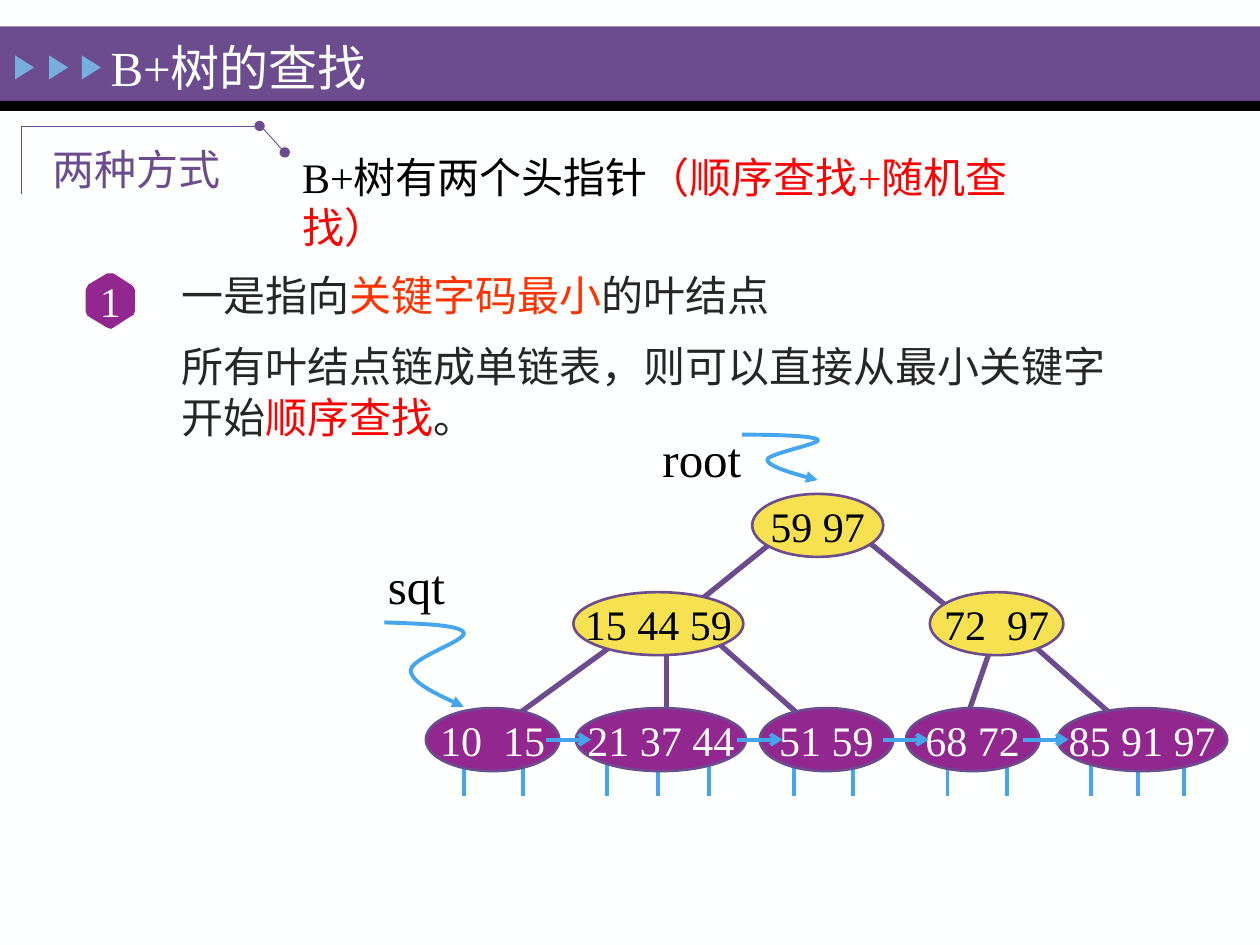
"""Build the slide on searching a B+ tree."""
import pptx
import pptx.dml.color
import pptx.enum.shapes
import pptx.enum.text
import pptx.oxml
import pptx.oxml.ns
import pptx.util
from pptx.util import Inches

RGBColor = pptx.dml.color.RGBColor
MSO_SHAPE = pptx.enum.shapes.MSO_SHAPE
PAPER = RGBColor(0xFE, 0xFF, 0xFF)
WHITE = RGBColor(0xFF, 0xFF, 0xFF)
BLACK = RGBColor(0, 0, 0)
GRAY = RGBColor(0x26, 0x26, 0x26)
PURPLE = RGBColor(0x6C, 0x4C, 0x8F)
MAGENTA = RGBColor(0x92, 0x27, 0x8F)
YELLOW = RGBColor(0xF6, 0xE2, 0x50)
BLUE = RGBColor(0x45, 0xA5, 0xED)
SKY = RGBColor(0x76, 0xAE, 0xDD)
RED = RGBColor(0xFF, 0, 0)
ORANGE = RGBColor(0xFF, 0x33, 0)


def write(paragraph, runs, size):
    for words, color in runs:
        run = paragraph.add_run()
        run.text = words
        run.font.name = "Times New Roman"
        run.font.size = pptx.util.Pt(size)
        run.font.color.rgb = color


def stroke(item, color, width, end=None):
    item.line.color.rgb = color
    item.line.width = pptx.util.Pt(width)
    properties = item.line._get_or_add_ln()
    if end:
        tail = pptx.oxml.parse_xml(
            f'<a:tailEnd {pptx.oxml.ns.nsdecls("a")} type="{end}"/>')
        properties.append(tail)
    effects = pptx.oxml.parse_xml(f'<a:effectLst {pptx.oxml.ns.nsdecls("a")}/>')
    properties.addnext(effects)


deck = pptx.Presentation()
deck.slide_width, deck.slide_height = Inches(10), Inches(7.5)
slide = deck.slides.add_slide(deck.slide_layouts[6])
slide.background.fill.solid()
slide.background.fill.fore_color.rgb = PAPER
shapes = slide.shapes

decorations = [(MSO_SHAPE.RECTANGLE, 0, 0.21, 10, 0.59, 0, PURPLE),
               (MSO_SHAPE.RECTANGLE, 0, 0.8, 10, 0.08, 0, BLACK)]
for left in (0.1, 0.37, 0.63):
    decorations.append((MSO_SHAPE.ISOSCELES_TRIANGLE, left, 0.46, 0.19, 0.15, 90, SKY))
for preset, left, top, width, height, turn, color in decorations:
    decoration = shapes.add_shape(
        preset, Inches(left), Inches(top), Inches(width), Inches(height))
    decoration.rotation = turn
    decoration.shadow.inherit = False
    decoration.fill.solid()
    decoration.fill.fore_color.rgb = color
    decoration.line.fill.background()

links = [(x, 5.96, x, 6.32, BLUE, 2.25, None)
         for x in (3.68, 4.15, 4.82, 5.22, 5.63, 6.3, 6.77, 7.52, 7.99, 8.66, 9.03, 9.4)]
branches = [(6.77, 4.2, 7.72, 4.98), (6.17, 4.27, 5.29, 4.98),
            (5.29, 4.98, 5.29, 5.83), (4.96, 5.05, 4.08, 5.69),
            (5.56, 4.98, 6.44, 5.76), (8.12, 5.05, 9, 5.83),
            (7.92, 4.98, 7.65, 5.76)]
links += [(*branch, PURPLE, 3, None) for branch in branches]
links.append((2.07, 1, 2.26, 1.21, PURPLE, 0.5, "oval"))
chain = [(x, 5.87, x + 0.36, 5.87, BLUE, 2.25, "arrow")
         for x in (4.33, 5.85, 7.01, 8.12)]

nodes = [("59 97", 5.97, 3.92, 1.04, YELLOW, BLACK),
         ("15 44 59", 4.55, 4.7, 1.35, YELLOW, BLACK),
         ("72  97", 7.38, 4.7, 1.06, YELLOW, BLACK)]
leaves = [("10  15", 3.38, 1.06), ("21 37 44", 4.57, 1.35), ("51 59", 6.03, 1.06),
          ("68 72", 7.19, 1.06), ("85 91 97", 8.39, 1.35)]
nodes += [(keys, left, 5.62, width, MAGENTA, WHITE) for keys, left, width in leaves]

for x1, y1, x2, y2, color, weight, end in links:
    link = shapes.add_connector(pptx.enum.shapes.MSO_CONNECTOR.STRAIGHT,
                                Inches(x1), Inches(y1), Inches(x2), Inches(y2))
    stroke(link, color, weight, end)

for keys, left, top, width, fill, ink in nodes:
    node = shapes.add_shape(
        MSO_SHAPE.OVAL, Inches(left), Inches(top), Inches(width), Inches(0.5))
    node.shadow.inherit = False
    node.fill.solid()
    node.fill.fore_color.rgb = fill
    node.line.color.rgb = PURPLE
    node.line.width = pptx.util.Pt(1.5)
    node.text_frame.word_wrap = False
    node.text_frame.vertical_anchor = pptx.enum.text.MSO_ANCHOR.MIDDLE
    node.text_frame.paragraphs[0].alignment = pptx.enum.text.PP_ALIGN.CENTER
    write(node.text_frame.paragraphs[0], [(keys, ink)], 24)

for x1, y1, x2, y2, color, weight, end in chain:
    arrow = shapes.add_connector(pptx.enum.shapes.MSO_CONNECTOR.STRAIGHT,
                                 Inches(x1), Inches(y1), Inches(x2), Inches(y2))
    stroke(arrow, color, weight, end)

root_curve = [(5.89, 3.45), (6.17, 3.45), (6.46, 3.46), (6.49, 3.49), (6.53, 3.52),
              (6.09, 3.6), (6.09, 3.65), (6.09, 3.7), (6.29, 3.76), (6.49, 3.81)]
sqt_curve = [(3.05, 4.94), (3.35, 4.95), (3.65, 4.96), (3.68, 5.02), (3.72, 5.08),
             (3.26, 5.22), (3.26, 5.32), (3.26, 5.42), (3.47, 5.51), (3.68, 5.61)]
outlines = [([(0.17, 1.54), (0.17, 1), (2.06, 1)], PURPLE, 0.5, "oval")]
for curve in (root_curve, sqt_curve):
    points = [curve[0]]
    for first in range(0, len(curve) - 1, 3):
        a, b, c, d = curve[first:first + 4]
        for step in range(1, 13):
            t = step / 12
            u = 1 - t
            points.append(tuple(
                u**3 * a[i] + 3 * u * u * t * b[i] + 3 * u * t * t * c[i] + t**3 * d[i]
                for i in (0, 1)))
    outlines.append((points, BLUE, 2.25, "triangle"))
for points, color, weight, end in outlines:
    corners = [(Inches(x), Inches(y)) for x, y in points]
    builder = shapes.build_freeform(*corners[0], scale=1.0)
    builder.add_line_segments(corners[1:], close=False)
    outline = builder.convert_to_shape()
    outline.fill.background()
    stroke(outline, color, weight, end)

hexagon = [(0.9, 2.6), (0.88, 2.61), (0.85, 2.6), (0.7, 2.51), (0.69, 2.5), (0.68, 2.47),
           (0.68, 2.3), (0.69, 2.28), (0.7, 2.26), (0.85, 2.17), (0.88, 2.17), (0.9, 2.17),
           (1.04, 2.26), (1.06, 2.28), (1.07, 2.3), (1.07, 2.47), (1.06, 2.5), (1.04, 2.51)]
corners = [(Inches(x), Inches(y)) for x, y in hexagon]
builder = shapes.build_freeform(*corners[0], scale=1.0)
builder.add_line_segments(corners[1:], close=True)
badge = builder.convert_to_shape()
badge.shadow.inherit = False
badge.fill.solid()
badge.fill.fore_color.rgb = MAGENTA
badge.line.fill.background()
badge.text_frame.word_wrap = False
badge.text_frame.vertical_anchor = pptx.enum.text.MSO_ANCHOR.MIDDLE
badge.text_frame.paragraphs[0].alignment = pptx.enum.text.PP_ALIGN.CENTER
write(badge.text_frame.paragraphs[0], [("1", WHITE)], 24)

texts = [
    (0.78, 0.25, 2.94, 0.57, 28, True, [[("B+树的查找", PAPER)]]),
    (0.32, 1.09, 1.58, 0.51, 24, False, [[("两种方式", PURPLE)]]),
    (1.34, 2.09, 7.75, 1.51, 24, True, [
        [("一是指向", GRAY), ("关键字码最小", ORANGE), ("的叶结点", GRAY)],
        [("所有叶结点链成单链表，则可以直接从最小关键字开始", GRAY),
         ("顺序查找", RED), ("。", GRAY)]]),
    (5.16, 3.35, 0.94, 0.51, 28, True, [[("root", BLACK)]]),
    (2.98, 4.36, 0.99, 0.51, 28, True, [[("sqt", BLACK)]]),
    (2.3, 1.15, 6.2, 0.51, 24, True, [
        [("B+树有两个头指针", BLACK), ("（顺序查找+随机查找）", RED)]]),
]
for left, top, width, height, size, wrap, paragraphs in texts:
    frame = shapes.add_textbox(
        Inches(left), Inches(top), Inches(width), Inches(height)).text_frame
    frame.word_wrap = wrap
    for number, runs in enumerate(paragraphs):
        paragraph = frame.add_paragraph() if number else frame.paragraphs[0]
        if number:
            paragraph.space_before = pptx.util.Pt(12)
        write(paragraph, runs, size)

deck.save("out.pptx")
